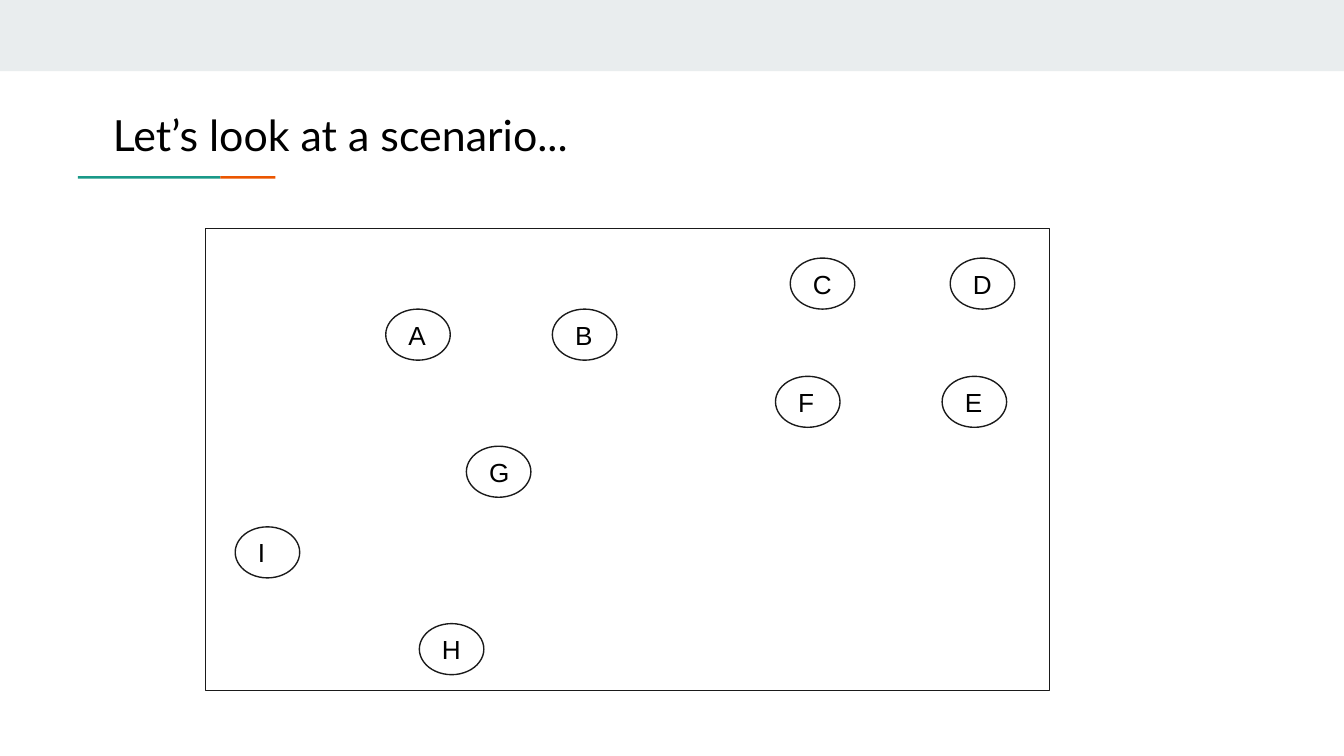
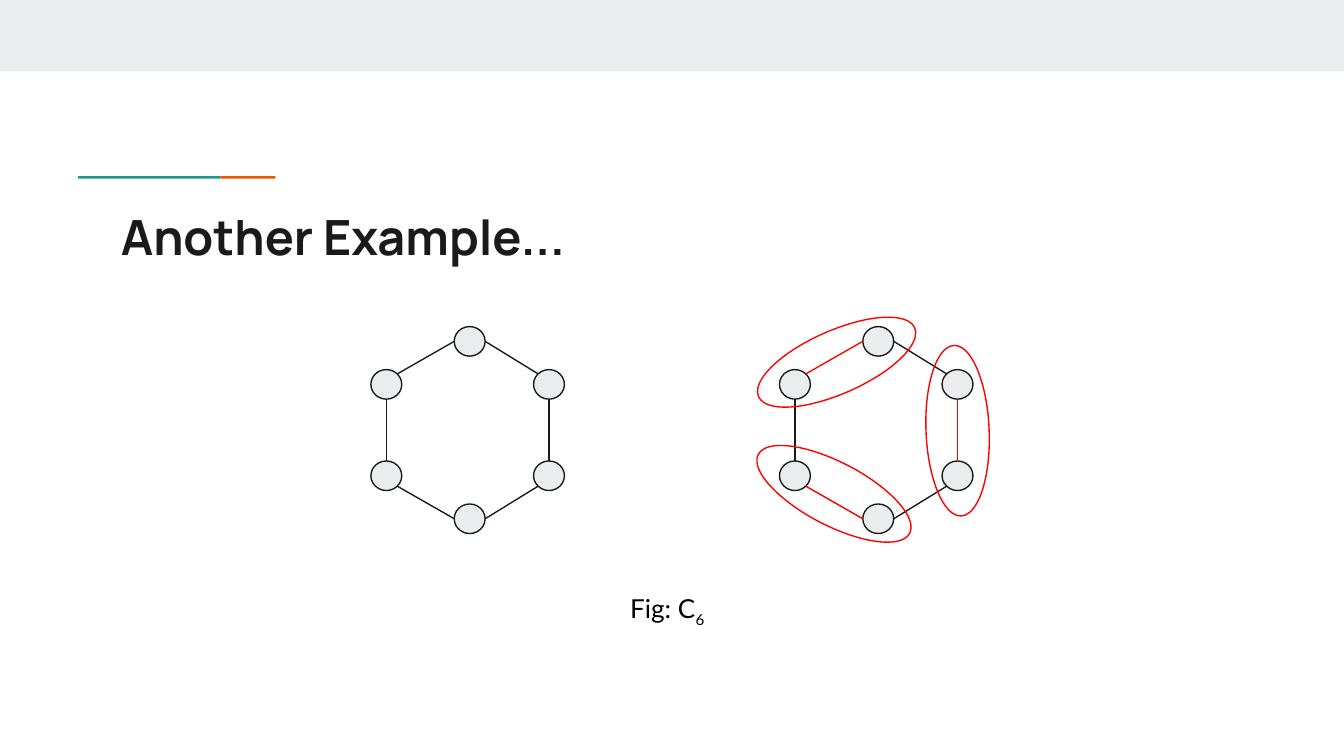
from math import sqrt

from lxml.etree import SubElement
from pptx import Presentation
from pptx.dml.color import RGBColor
from pptx.enum.shapes import MSO_CONNECTOR, MSO_SHAPE
from pptx.enum.text import MSO_ANCHOR, MSO_AUTO_SIZE, PP_ALIGN
from pptx.oxml.ns import qn
from pptx.util import Inches, Pt

# Shared look
WIDTH, HEIGHT = 10, 10 * 9 / 16
INK, BLACK, WHITE = "1A1A1A", "000000", "FFFFFF"
MIST, TEAL, ORANGE, RED = "E9EDEE", "1A9988", "EB5600", "FF0000"
LINE_WIDTH = 0.75
INSET = 0.1
DECORATION = [  # box, fill
    ((0, 0, WIDTH, 0.53), MIST),
    ((0.58, 1.31, 1.06, 0.02), TEAL),
    ((1.64, 1.31, 0.41, 0.02), ORANGE),
]

# Slide 1: lettered points inside a frame
FRAME = (1.53, 1.7, 6.28, 3.44)
POINT_SIZE = (0.48, 0.38)
POINTS = {
    "A": (2.87, 2.3), "B": (4.11, 2.3), "G": (3.47, 3.32),
    "I": (1.75, 3.92), "H": (3.12, 4.64), "C": (5.88, 1.92),
    "F": (5.77, 2.8), "E": (7.01, 2.8), "D": (7.07, 1.92),
}

# Slide 2: the six-node cycle, drawn plain and then matched
NODE_SIZE = (0.23, 0.22)
COLUMNS = (2.76, 3.38, 3.97)
ROWS = (2.43, 2.75, 3.43, 3.75)
NODES = {  # column, row
    "upper left": (0, 1), "top": (1, 0), "upper right": (2, 1),
    "lower right": (2, 2), "bottom": (1, 3), "lower left": (0, 2),
}
DIAG = 1 / sqrt(2)
EDGES = [  # node and direction at each end
    ("upper left", (DIAG, -DIAG), "top", (-1, 0)),
    ("upper left", (0, 1), "lower left", (0, -1)),
    ("lower left", (DIAG, DIAG), "bottom", (-1, 0)),
    ("bottom", (1, 0), "lower right", (-DIAG, DIAG)),
    ("upper right", (0, 1), "lower right", (0, -1)),
    ("top", (1, 0), "upper right", (-DIAG, -DIAG)),
]
MATCHING = {("upper left", "top"), ("lower left", "bottom"),
            ("upper right", "lower right")}
GRAPHS = [(0, set()), (3.04, MATCHING)]  # shift to the right, red edges
RING_SIZE = (1.27, 0.47)
RINGS = [(5.59, 2.46, 336.2), (5.57, 3.44, 27.5), (6.49, 2.97, 87.6)]


def rgb(value):
    return RGBColor.from_string(value)


def add_shape(s, kind, box, fill=None, line=None):
    sp = s.shapes.add_shape(kind, *map(Inches, box))
    sp.shadow.inherit = False
    if fill:
        sp.fill.solid()
        sp.fill.fore_color.rgb = rgb(fill)
    else:
        sp.fill.background()
    if line:
        sp.line.color.rgb = rgb(line)
        sp.line.width = Pt(LINE_WIDTH)
    else:
        sp.line.fill.background()
    return sp


def add_line(s, start, end, color):
    c = s.shapes.add_connector(MSO_CONNECTOR.STRAIGHT,
                               *map(Inches, (*start, *end)))
    c.line.color.rgb = rgb(color)
    c.line.width = Pt(LINE_WIDTH)
    SubElement(c._element.spPr, qn("a:effectLst"))


def prepare_text(sp, anchor=MSO_ANCHOR.TOP):
    tf = sp.text_frame
    tf.word_wrap = True
    tf.auto_size = MSO_AUTO_SIZE.NONE
    tf.vertical_anchor = anchor
    tf.margin_left = tf.margin_right = Inches(INSET)
    tf.margin_top = tf.margin_bottom = Inches(INSET)
    p = tf.paragraphs[0]
    p.alignment = PP_ALIGN.LEFT
    return p


def add_run(p, text, size, font, color=BLACK, bold=False):
    r = p.add_run()
    r.text = text
    r.font.size = Pt(size)
    r.font.name = font
    r.font.bold = bold
    r.font.color.rgb = rgb(color)
    return r


def add_slide(prs, title, box, **style):
    s = prs.slides.add_slide(prs.slide_layouts[5])
    for part, fill in DECORATION:
        add_shape(s, MSO_SHAPE.RECTANGLE, part, fill)
    sp = s.shapes.title
    sp.left, sp.top, sp.width, sp.height = map(Inches, box)
    p = prepare_text(sp)
    p.line_spacing = 1.0
    add_run(p, title, **style)
    return s


def draw_scenario(s):
    add_shape(s, MSO_SHAPE.RECTANGLE, FRAME, line=INK)
    for letter, corner in POINTS.items():
        sp = add_shape(s, MSO_SHAPE.OVAL, (*corner, *POINT_SIZE), WHITE, INK)
        add_run(prepare_text(sp, MSO_ANCHOR.MIDDLE), letter, 14, "Arial")


def draw_graph(s, shift, red_edges):
    w, h = NODE_SIZE
    corners = {name: (COLUMNS[col] + shift, ROWS[row])
               for name, (col, row) in NODES.items()}

    def rim(name, direction):
        x, y = corners[name]
        dx, dy = direction
        return x + w / 2 * (1 + dx), y + h / 2 * (1 + dy)

    for corner in corners.values():
        add_shape(s, MSO_SHAPE.OVAL, (*corner, w, h), MIST, INK)
    for a, leaving, b, arriving in EDGES:
        color = RED if (a, b) in red_edges else INK
        add_line(s, rim(a, leaving), rim(b, arriving), color)


def draw_example(s):
    for shift, red_edges in GRAPHS:
        draw_graph(s, shift, red_edges)
    # Caption with subscript
    caption = s.shapes.add_textbox(*map(Inches, (4.59, 4.31, 0.83, 0.46)))
    p = prepare_text(caption)
    add_run(p, "Fig: C", 14, "Lato")
    r = add_run(p, "6", 14, "Lato")
    r.font._element.set("baseline", "-25000")
    # Rings around the matched pairs
    for x, y, angle in RINGS:
        ring = add_shape(s, MSO_SHAPE.OVAL, (x, y, *RING_SIZE), line=RED)
        ring.rotation = angle


def main():
    prs = Presentation()
    prs.slide_width, prs.slide_height = Inches(WIDTH), Inches(HEIGHT)
    draw_scenario(add_slide(prs, "Let’s look at a scenario...",
                            (0.74, 0.71, 7.35, 0.86), size=23, font="Lato"))
    draw_example(add_slide(prs, "Another Example...",
                           (0.8, 1.44, 8.41, 0.59), size=26, font="Manrope",
                           color=INK, bold=True))
    prs.save("out.pptx")


if __name__ == "__main__":
    main()
